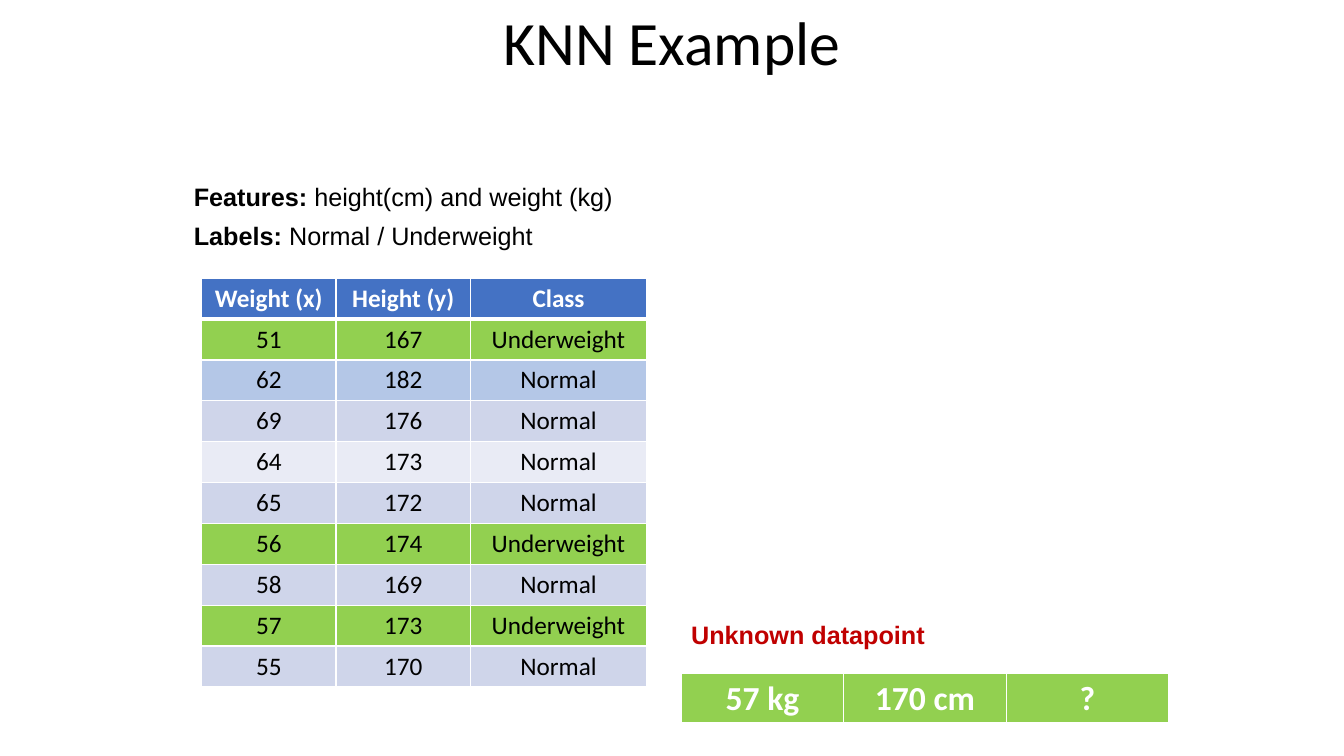
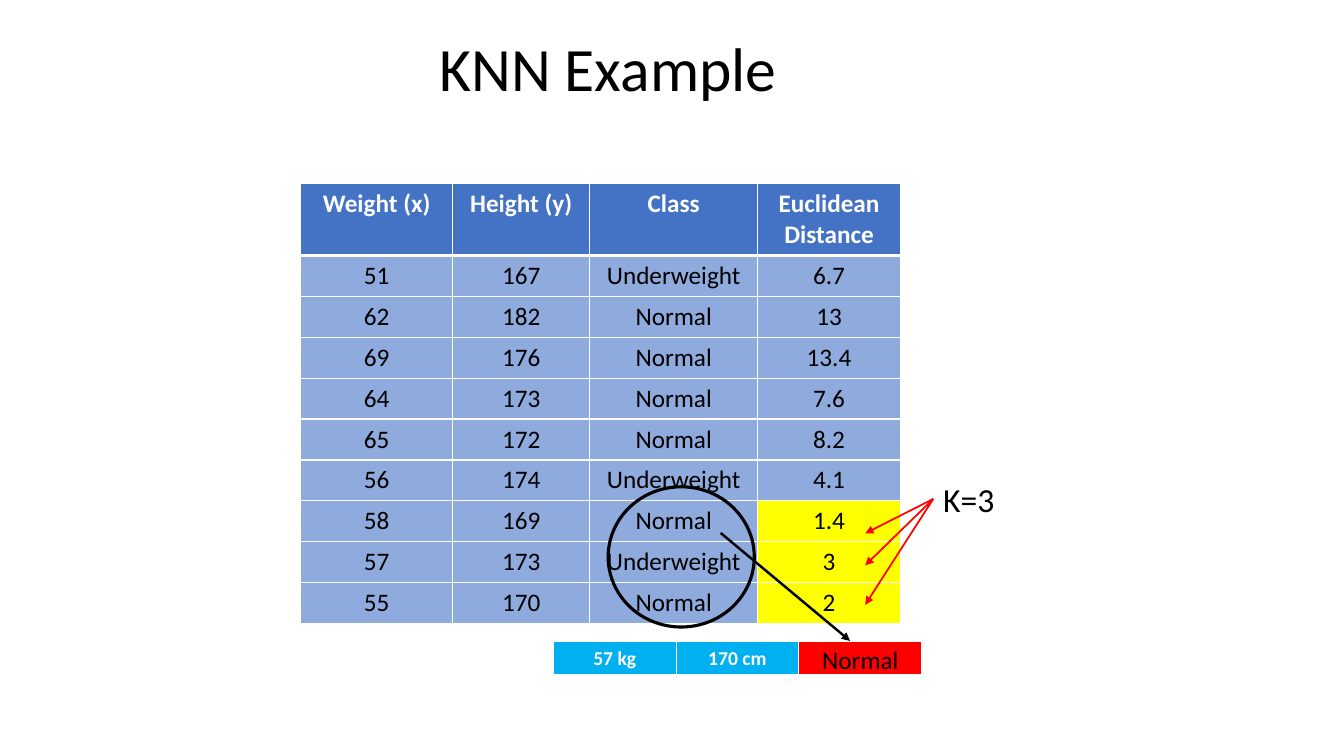
from dataclasses import dataclass

from lxml.etree import SubElement
from pptx import Presentation
from pptx.dml.color import RGBColor
from pptx.enum.shapes import MSO_CONNECTOR, MSO_SHAPE
from pptx.enum.text import MSO_ANCHOR, PP_ALIGN
from pptx.oxml import parse_xml
from pptx.oxml.ns import nsdecls, qn
from pptx.util import Inches, Pt


@dataclass(frozen=True)
class Theme:
    # Fonts and type sizes
    table_font: str = "Calibri"
    note_font: str = "Arial"
    title_size: int = 44
    large_size: int = 24
    body_size: int = 18
    small_size: int = 14
    note_gap: float = 8.5
    # Colours
    black: str = "000000"
    white: str = "FFFFFF"
    header: str = "4472C4"
    band_odd: str = "CFD5EA"
    band_even: str = "E9EBF5"
    band_accent: str = "B4C7E7"
    distance_row: str = "8FAADC"
    underweight: str = "92D050"
    query: str = "00B0F0"
    nearest: str = "FFFF00"
    result: str = "FF0000"
    alert: str = "C00000"
    # Table lines, in points
    thin: int = 1
    thick: int = 3


@dataclass(frozen=True)
class Cell:
    text: str
    fill: str
    color: str
    size: int
    bold: bool = False


THEME = Theme()
COLUMNS, ROWS = 160, 90
BODY_ROW = 4.87
NEIGHBOURS = 3
HEADERS = ["Weight (x)", "Height (y)", "Class", "Euclidean Distance"]
SAMPLES = [
    (51, 167, "Underweight", 6.7),
    (62, 182, "Normal", 13),
    (69, 176, "Normal", 13.4),
    (64, 173, "Normal", 7.6),
    (65, 172, "Normal", 8.2),
    (56, 174, "Underweight", 4.1),
    (58, 169, "Normal", 1.4),
    (57, 173, "Underweight", 3),
    (55, 170, "Normal", 2),
]


class Deck:
    """Holds the style and the current slide; lengths are grid columns and rows."""

    def __init__(self, theme):
        self.theme = theme
        self.presentation = Presentation()
        self.presentation.slide_width = Inches(13.33)
        self.presentation.slide_height = Inches(7.5)
        self.slide = None

    def x(self, columns):
        return round(self.presentation.slide_width * columns / COLUMNS)

    def y(self, rows):
        return round(self.presentation.slide_height * rows / ROWS)

    def box(self, left, top, width, height):
        return self.x(left), self.y(top), self.x(width), self.y(height)

    def add_slide(self):
        layout = self.presentation.slide_layouts[6]
        self.slide = self.presentation.slides.add_slide(layout)

    def style(self, run, font, size, color, bold=False):
        run.font.name = font
        run.font.size = Pt(size)
        run.font.bold = bold
        run.font.color.rgb = RGBColor.from_string(color)

    def title(self, text, left, top):
        shape = self.text(text, (left, top, 120, 9.7), self.theme.title_size)
        shape.text_frame.vertical_anchor = MSO_ANCHOR.MIDDLE
        shape.text_frame.paragraphs[0].alignment = PP_ALIGN.CENTER

    def text(self, text, place, size, font=None, color=None, bold=False, wrap=True):
        shape = self.slide.shapes.add_textbox(*self.box(*place))
        shape.text_frame.word_wrap = wrap
        shape.text_frame.text = text
        run = shape.text_frame.paragraphs[0].runs[0]
        self.style(run, font or self.theme.table_font, size,
                   color or self.theme.black, bold)
        return shape

    def definitions(self, entries, place):
        """Paragraphs that each open with a bold term."""
        shape = self.slide.shapes.add_textbox(*self.box(*place))
        frame = shape.text_frame
        frame.word_wrap = True
        for index, (term, meaning) in enumerate(entries):
            paragraph = frame.add_paragraph() if index else frame.paragraphs[0]
            paragraph.line_spacing = 0.9
            if index:
                paragraph.space_before = Pt(self.theme.note_gap)
            for words, bold in ((term, True), (meaning, False)):
                run = paragraph.add_run()
                run.text = words
                self.style(run, self.theme.note_font, self.theme.body_size,
                           self.theme.black, bold)

    def table(self, rows, left, top, widths, heights):
        frame = self.slide.shapes.add_table(
            len(rows), len(widths),
            *self.box(left, top, sum(widths), sum(heights)))
        table = frame.table
        table.first_row = table.horz_banding = False
        for column, width in zip(table.columns, widths):
            column.width = self.x(width)
        for row, height in zip(table.rows, heights):
            row.height = self.y(height)
        for row_index, row in enumerate(rows):
            for column_index, content in enumerate(row):
                cell = table.cell(row_index, column_index)
                self.fill_cell(cell, content)
                self.cell_borders(cell, row_index)
        return table

    def fill_cell(self, cell, content):
        cell.fill.solid()
        cell.fill.fore_color.rgb = RGBColor.from_string(content.fill)
        cell.text_frame.text = content.text
        paragraph = cell.text_frame.paragraphs[0]
        paragraph.alignment = PP_ALIGN.CENTER
        for run in paragraph.runs:
            self.style(run, self.theme.table_font, content.size,
                       content.color, content.bold)

    def cell_borders(self, cell, row_index):
        """White lines, with a thick one below the first row."""
        theme = self.theme
        widths = {
            "lnL": theme.thin,
            "lnR": theme.thin,
            "lnT": theme.thick if row_index == 1 else theme.thin,
            "lnB": theme.thick if row_index == 0 else theme.thin,
        }
        properties = cell.fill._xPr
        for index, (side, width) in enumerate(widths.items()):
            properties.insert(index, parse_xml(
                f'<a:{side} {nsdecls("a")} w="{Pt(width)}"><a:solidFill>'
                f'<a:srgbClr val="{theme.white}"/></a:solidFill></a:{side}>'))

    def arrow(self, start, end, color, width, source=None):
        """An arrow from a point, or from the left side of a source shape."""
        connector = self.slide.shapes.add_connector(
            MSO_CONNECTOR.STRAIGHT, self.x(start[0]), self.y(start[1]),
            self.x(end[0]), self.y(end[1]))
        if source is not None:
            connector.begin_connect(source, 1)
        connector.line.color.rgb = RGBColor.from_string(color)
        connector.line.width = Pt(width)
        line = connector.line._get_or_add_ln()
        SubElement(line, qn("a:tailEnd"), type="triangle")
        SubElement(line.getparent(), qn("a:effectLst"))

    def ring(self, place, width):
        shape = self.slide.shapes.add_shape(MSO_SHAPE.OVAL, *self.box(*place))
        shape.shadow.inherit = False
        shape.fill.background()
        shape.line.color.rgb = RGBColor.from_string(self.theme.black)
        shape.line.width = Pt(width)


def header_row(count):
    return [Cell(text, THEME.header, THEME.white, THEME.body_size, True)
            for text in HEADERS[:count]]


def body_row(values, fills):
    return [Cell(str(value), fill, THEME.black, THEME.body_size)
            for value, fill in zip(values, fills)]


def query_cells(texts, fill, size):
    return [Cell(text, fill, THEME.white, size, True) for text in texts]


def class_fill(number, label):
    if label == "Underweight":
        return THEME.underweight
    if number == 2:
        return THEME.band_accent
    return THEME.band_odd if number % 2 else THEME.band_even


def samples_slide(deck):
    deck.add_slide()
    deck.title("KNN Example", 20, 0)

    # Labelled samples
    rows = [header_row(3)]
    for number, sample in enumerate(SAMPLES, start=1):
        rows.append(body_row(sample[:3], [class_fill(number, sample[2])] * 3))
    deck.table(rows, 24, 33.12, [16, 16, 21], [BODY_ROW] * len(rows))

    # Unknown datapoint
    query = query_cells(["57 kg", "170 cm", "?"], THEME.underweight,
                        THEME.large_size)
    deck.table([query], 81.1, 80.2, [19.35] * 3, [6])

    # Notes
    deck.definitions([("Features: ", "height(cm) and weight (kg)"),
                      ("Labels: ", "Normal / Underweight")],
                     (21.9, 21.4, 110.2, 9.6))
    deck.text("Unknown datapoint", (81.1, 73.1, 78, 4.8), THEME.body_size,
              THEME.note_font, THEME.alert, bold=True)


def distances_slide(deck):
    deck.add_slide()
    deck.title("KNN Example", 12.4, 3.05)

    # Distances, with the nearest neighbours marked
    limit = sorted(sample[3] for sample in SAMPLES)[NEIGHBOURS - 1]
    rows = [header_row(4)]
    for sample in SAMPLES:
        last = THEME.nearest if sample[3] <= limit else THEME.distance_row
        rows.append(body_row(sample, [THEME.distance_row] * 3 + [last]))
    deck.table(rows, 35.8, 21.82, [18.1, 16.3, 20, 17],
               [8.6] + [BODY_ROW] * len(SAMPLES))

    # Classified datapoint
    query = query_cells(["57 kg", "170 cm"], THEME.query, THEME.small_size)
    query += query_cells([""], THEME.result, THEME.small_size)
    table = deck.table([query], 65.9, 76.3, [14.6] * 3, [4.2])
    for cell in table.rows[0].cells:
        cell.margin_top = cell.margin_bottom = 0
        cell.vertical_anchor = MSO_ANCHOR.MIDDLE

    # Neighbour count and its arrows
    label = deck.text("K=3", (111.1, 56.4, 8.6, 6), THEME.large_size, wrap=False)
    for row in (63.5, 67.3, 72):
        deck.arrow((111.1, 59.4), (103, row), THEME.result, 1.25, source=label)

    # Majority vote
    deck.ring((72.4, 57.95, 17.4, 16.7), 2.25)
    deck.arrow((85.8, 63.45), (101.2, 76.3), THEME.black, 1.75)
    deck.text("Normal", (96.7, 76.1, 11.6, 4.8), THEME.body_size, wrap=False)


def main():
    deck = Deck(THEME)
    samples_slide(deck)
    distances_slide(deck)
    deck.presentation.save("out.pptx")


if __name__ == "__main__":
    main()
